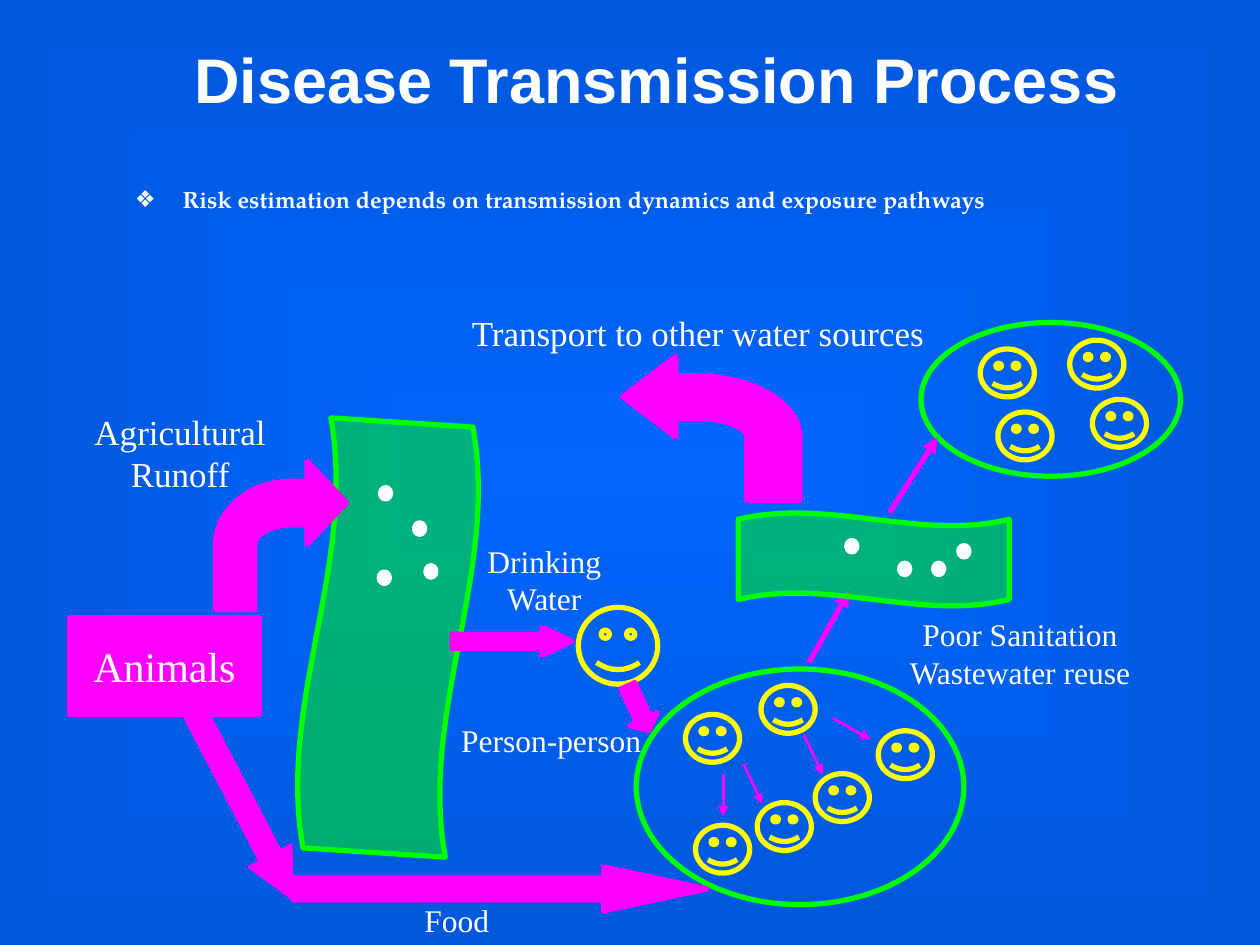
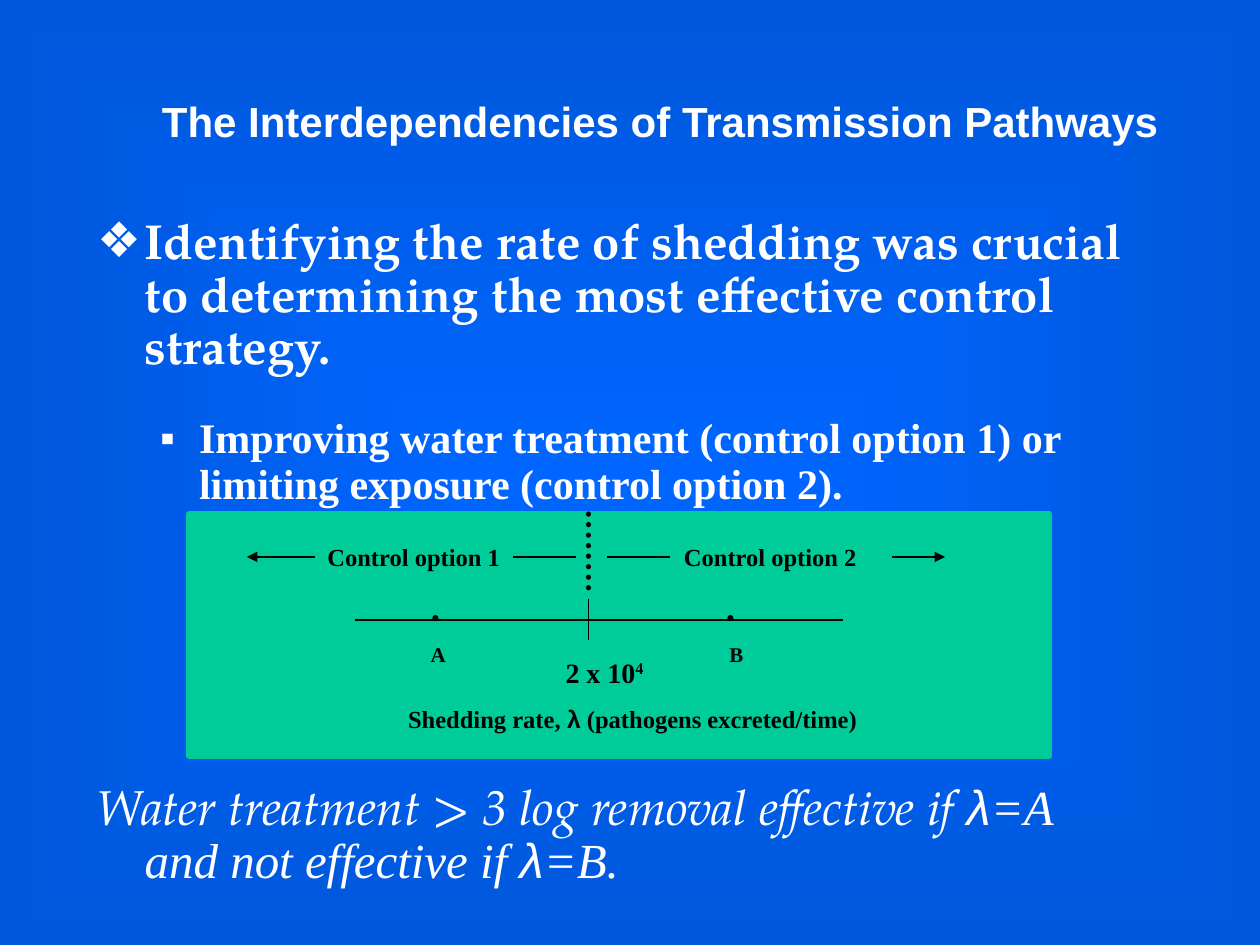
import math
from pptx import Presentation
from pptx.dml.color import RGBColor
from pptx.enum import dml, shapes, text
from pptx.oxml import parse_xml
from pptx.oxml.ns import nsdecls, qn
from pptx.util import Inches, Pt

HUES = {"white": "FFFFFF", "black": "000000", "pink": "FF00FF", "lime": "00FF00",
        "yellow": "FFFF00", "teal": "00CC99", "core": "0066FF", "edge": "0057DB"}
RGB = {name: RGBColor.from_string(code) for name, code in HUES.items()}
SANS, SERIF, BOOK = "Arial", "Times New Roman", "TeX Gyre Pagella"
KIND = shapes.MSO_SHAPE
CENTER, LEFT = text.PP_ALIGN.CENTER, text.PP_ALIGN.LEFT


def link(slide, ends, hue, width, head=False):
    line = slide.shapes.add_connector(shapes.MSO_CONNECTOR.STRAIGHT, *map(Inches, ends))
    line.line.color.rgb = RGB[hue]
    line.line.width = Pt(width)
    if head:
        line.line._get_or_add_ln().append(parse_xml(f'<a:tailEnd {nsdecls("a")} type="triangle"/>'))
    line._element.spPr.append(parse_xml(f'<a:effectLst {nsdecls("a")}/>'))
    return line


def label(slide, box, parts, size, hue="black", bold=True):
    frame = slide.shapes.add_textbox(*map(Inches, box)).text_frame
    frame.word_wrap = True
    para = frame.paragraphs[0]
    for words, face in parts:
        run = para.add_run()
        run.text = words
        run.font.name, run.font.size = face, Pt(size)
        run.font.bold, run.font.italic = bold, not bold
        run.font.color.rgb = RGB[hue]
    return para


deck = Presentation()
deck.slide_width, deck.slide_height = Inches(10), Inches(7.5)

fill = deck.slide_master.background.fill
fill.gradient()
for stop, hue in zip(fill.gradient_stops, ("core", "edge")):
    stop.color.rgb = RGB[hue]
grad = next(deck.slide_master._element.iter(qn("a:gradFill")))
grad.replace(grad.find(qn("a:lin")), parse_xml(
    f'<a:path {nsdecls("a")} path="rect">'
    '<a:fillToRect l="50000" t="50000" r="50000" b="50000"/></a:path>'))

pages = [
    ("Disease Transmission Process", (1.42, 0.25, 7.58, 0.75), 36, (0.97, 1.42, 8.5, 0.54), 1, 0, [
        ("❖", "Risk estimation depends on transmission dynamics and exposure pathways",
         0.38, 0.38, 13.3, BOOK)]),
    ("The Interdependencies of Transmission Pathways", (0.73, 0.33, 9.02, 1.25), 24,
     (0.67, 1.67, 8.42, 2.75), 0.9, 12, [
        ("❖", "Identifying the rate of shedding was crucial to determining the most "
         "effective control strategy.", 0.38, 0.38, 28, BOOK),
        ("▪", "Improving water treatment (control option 1) or limiting exposure "
         "(control option 2).", 0.81, 0.31, 24, SERIF)]),
]
slides = []
for title, spot, size, box, pitch, gap, points in pages:
    slide = deck.slides.add_slide(deck.slide_layouts[1])
    slides.append(slide)
    head, body = slide.shapes.title, slide.placeholders[1]
    for holder, area in ((head, spot), (body, box)):
        holder.left, holder.top, holder.width, holder.height = map(Inches, area)
        holder.text_frame.auto_size = text.MSO_AUTO_SIZE.NONE
    head.text_frame.text = title
    head.text_frame.vertical_anchor = text.MSO_ANCHOR.MIDDLE
    font = head.text_frame.paragraphs[0].runs[0].font
    font.name, font.size, font.bold = SANS, Pt(size), True
    font.color.rgb = RGB["white"]
    body.text_frame.text = "\n".join(point[1] for point in points)
    for level, (para, point) in enumerate(zip(body.text_frame.paragraphs, points)):
        mark, words, left, hang, size, face = point
        para.level = level
        para.line_spacing = pitch
        para.space_before, para.space_after = Pt(gap if level else 0), Pt(gap)
        props = para._p.get_or_add_pPr()
        props.set("marL", str(Inches(left)))
        props.set("indent", str(-Inches(hang)))
        props.append(parse_xml(f'<a:buClr {nsdecls("a")}><a:srgbClr val="{HUES["white"]}"/></a:buClr>'))
        props.append(parse_xml(f'<a:buChar {nsdecls("a")} char="{mark}"/>'))
        font = para.runs[0].font
        font.name, font.size, font.bold = face, Pt(size), True
        font.color.rgb = RGB["white"]

flow, scale = slides
made = []

for box in ((5.05, 5.31, 2.6, 1.87), (7.31, 2.56, 2.06, 1.22)):
    made.append((flow.shapes.add_shape(KIND.OVAL, *map(Inches, box)), None, "lime"))

for ends, width in [
    ((5.74, 6.14, 5.74, 6.48), 1.5), ((5.9, 6.06, 6.05, 6.38), 1.5),
    ((6.38, 5.83, 6.53, 6.15), 1.5), ((6.61, 5.7, 6.91, 5.87), 1.5),
    ((6.42, 5.26, 6.74, 4.69), 3), ((7.06, 4.07, 7.44, 3.47), 3),
]:
    link(flow, ends, "pink", width, True)

waves = []
for box, turn, bend in (((1.37, 4.41, 3.42, 1.3), 273.7, 0.065), ((5.86, 4.07, 2.15, 0.74), 0, 0.07)):
    wave = flow.shapes.add_shape(KIND.WAVE, *map(Inches, box))
    wave.rotation = turn
    wave.adjustments[0], wave.adjustments[1] = bend, 0
    waves.append(wave)
    made.append((wave, "lime", "lime"))

animal = flow.shapes.add_shape(KIND.RECTANGLE, *map(Inches, (0.55, 4.9, 1.51, 0.77)))
made.append((animal, "pink", "pink"))
frame = animal.text_frame
frame.text = "Animals"
frame.word_wrap = False
frame.vertical_anchor = text.MSO_ANCHOR.MIDDLE
frame.paragraphs[0].alignment = CENTER
font = frame.paragraphs[0].runs[0].font
font.name, font.size = SERIF, Pt(24)
font.color.rgb = RGB["white"]

steps = [math.pi / 2 * n / 16 for n in range(17)]
bend = [(0, 1)]
bend += [(0.58 - 0.58 * math.cos(a), 0.565 - 0.43 * math.sin(a)) for a in steps]
bend += [(0.7, 0.135), (0.7, 0), (1, 0.28), (0.7, 0.56), (0.7, 0.43)]
bend += [(0.58 - 0.28 * math.cos(a), 0.565 - 0.135 * math.sin(a)) for a in reversed(steps)]
bend += [(0.3, 1)]
for left, top, wide, tall in ((1.71, 3.66, 1.04, 1.18), (6.35, 2.83, -1.41, 1.14)):
    dots = [(Inches(left + x * wide), Inches(top + y * tall)) for x, y in bend]
    pen = flow.shapes.build_freeform(*dots[0])
    pen.add_line_segments(dots[1:], close=True)
    made.append((pen.convert_to_shape(), "pink", "pink"))

for left, top in [(3.01, 4.54), (3.29, 4.15), (3.38, 4.49), (3.02, 3.87),
                  (7.14, 4.47), (7.61, 4.33), (6.72, 4.29), (7.41, 4.47)]:
    germ = flow.shapes.add_shape(KIND.OVAL, *map(Inches, (left, top, 0.08, 0.09)))
    made.append((germ, "white", "white"))

crowd = [(5.44, 5.67), (6.04, 5.44), (5.52, 6.55), (6.01, 6.37), (6.47, 6.14), (6.97, 5.8),
         (7.78, 2.77), (7.92, 3.27), (8.49, 2.7), (8.67, 3.17)]
for box in [(4.59, 4.82, 0.63, 0.61)] + [(x, y, 0.43, 0.38) for x, y in crowd]:
    face = flow.shapes.add_shape(KIND.SMILEY_FACE, *map(Inches, box))
    face.adjustments[0] = 0.093
    made.append((face, None, "yellow"))

for box, turn, tip, edge in [
    ((3.59, 4.98, 0.95, 0.22), 0, 1.08, "pink"),
    ((4.87, 5.5, 0.39, 0.24), 65.1, 0.4, "pink"),
    ((1.09, 6.2, 1.7, 0.41), 62.4, 1.03, None),
    ((2.33, 6.88, 3.28, 0.35), 0, 2.34, "pink"),
]:
    arrow = flow.shapes.add_shape(KIND.RIGHT_ARROW, *map(Inches, box))
    arrow.rotation = turn
    arrow.adjustments[1] = tip
    made.append((arrow, "pink", edge))

for words, box, size in [
    ("Agricultural\nRunoff", (0.65, 3.21, 1.56, 0.77), 20),
    ("Drinking\nWater", (3.77, 4.25, 1.1, 0.7), 18),
    ("Person-person", (3.5, 5.67, 1.75, 0.4), 18),
    ("Poor Sanitation\nWastewater reuse", (6.67, 4.83, 2.85, 0.7), 18),
    ("Transport to other water sources", (3.64, 2.42, 3.8, 0.44), 20),
    ("Food", (2.75, 7.1, 1.75, 0.4), 18),
]:
    frame = flow.shapes.add_textbox(*map(Inches, box)).text_frame
    frame.text = words
    frame.word_wrap = False
    for para in frame.paragraphs:
        para.alignment = CENTER
        font = para.runs[0].font
        font.name, font.size = SERIF, Pt(size)
        font.color.rgb = RGB["white"]

panel = scale.shapes.add_shape(KIND.RECTANGLE, *map(Inches, (1.5, 4.08, 6.83, 1.92)))
made.append((panel, "teal", "teal"))

for shape, inner, edge in made:
    shape.shadow.inherit = False
    if inner:
        shape.fill.solid()
        shape.fill.fore_color.rgb = RGB[inner]
    else:
        shape.fill.background()
    if edge:
        shape.line.color.rgb = RGB[edge]
        shape.line.width = Pt(3)
    else:
        shape.line.fill.background()
for wave in waves:
    tint = wave._element.spPr.find(qn("a:solidFill"))[0]
    tint.append(parse_xml(f'<a:alpha {nsdecls("a")} val="50000"/>'))

for ends, head in [
    ((2.82, 4.92, 6.69, 4.92), False), ((4.67, 4.75, 4.67, 5.08), False),
    ((4.07, 4.42, 4.57, 4.42), False), ((2.5, 4.42, 1.96, 4.42), True),
    ((4.82, 4.42, 5.32, 4.42), False), ((7.08, 4.42, 7.5, 4.42), True),
]:
    link(scale, ends, "black", 0.75, head)
split = link(scale, (4.67, 4.08, 4.67, 4.67), "black", 3)
split.line.dash_style = dml.MSO_LINE.ROUND_DOT
split.line._get_or_add_ln().set("cap", "rnd")

for words, box, size, face in [
    ("A", (3.32, 5.04, 0.38, 0.25), 12, SERIF),
    ("B", (5.69, 5.04, 0.38, 0.25), 12, SERIF),
    ("•", (3.33, 4.75, 0.38, 0.25), 12, SANS),
    ("•", (5.67, 4.75, 0.38, 0.25), 12, SANS),
    ("Control option 1", (2.5, 4.25, 1.72, 0.38), 14, SERIF),
    ("Control option 2", (5.33, 4.25, 1.67, 0.38), 14, SERIF),
]:
    label(scale, box, [(words, face)], size)

limit = label(scale, (4.39, 5.15, 0.87, 0.38), [("2 x 10", SERIF), ("4", SERIF)], 16)
limit.runs[1]._r.get_or_add_rPr().set("baseline", "30000")
label(scale, (3.14, 5.54, 4.62, 0.37),
      [("Shedding rate, ", SERIF), ("λ", SANS), (" (pathogens excreted/time)", SERIF)], 14)
verdict = label(scale, (0.67, 6.17, 8.42, 1.33), [
    ("Water treatment > 3 log removal effective if ", BOOK), ("λ", SANS),
    ("=A and not effective if ", SERIF), ("λ", SANS), ("=B.", SERIF)], 28, "white", False)
verdict.alignment = LEFT
verdict.line_spacing = 0.9
props = verdict._p.get_or_add_pPr()
props.set("marL", str(Inches(0.38)))
props.set("indent", str(-Inches(0.38)))

deck.save("out.pptx")
